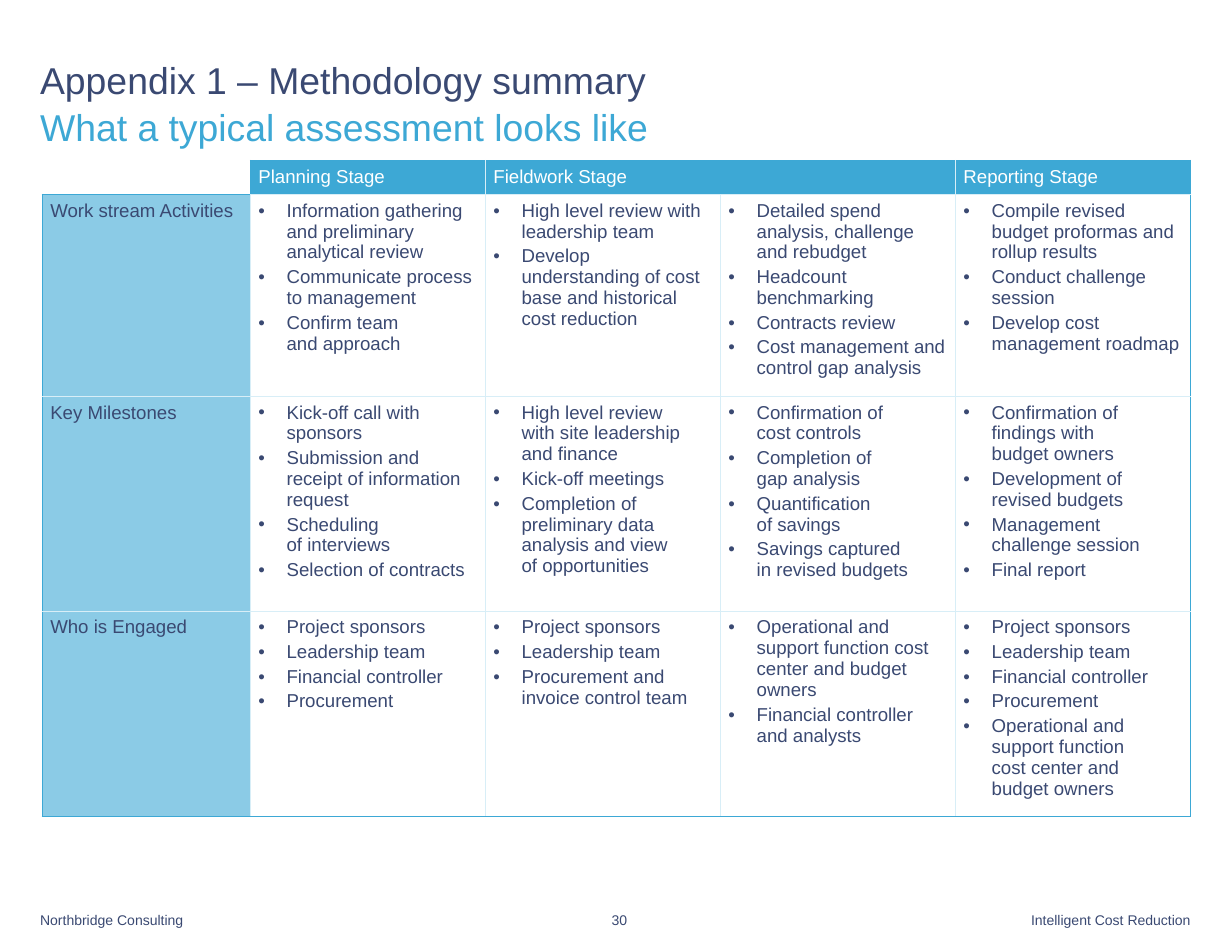
"""Build the methodology summary slide with its stage-by-activity table."""
import lxml.etree
import pptx
import pptx.dml.color
import pptx.enum.text
import pptx.oxml.ns
import pptx.util

Cm = pptx.util.Cm
Pt = pptx.util.Pt
qn = pptx.oxml.ns.qn
RGBColor = pptx.dml.color.RGBColor
PP_ALIGN = pptx.enum.text.PP_ALIGN
MSO_ANCHOR = pptx.enum.text.MSO_ANCHOR

NAVY = RGBColor(0x3A, 0x49, 0x72)
BLUE = RGBColor(0x3D, 0xA8, 0xD5)
LIGHT_BLUE = RGBColor(0x8B, 0xCB, 0xE6)
PALE_BLUE = RGBColor(0xD8, 0xEE, 0xF7)
WHITE = RGBColor(0xFF, 0xFF, 0xFF)

COLUMN_WIDTHS = [4.72] + [5.33] * 4
ROW_HEIGHTS = [0.75, 4.29, 4.87, 4.37]
STAGES = ["", "Planning Stage", "Fieldwork Stage", "", "Reporting Stage"]
TOPICS = [
    ("Work stream Activities", [
        ["Information gathering and preliminary analytical review",
         "Communicate process to management",
         "Confirm team \nand approach"],
        ["High level review with leadership team",
         "Develop understanding of cost base and historical cost reduction"],
        ["Detailed spend analysis, challenge and rebudget",
         "Headcount benchmarking",
         "Contracts review",
         "Cost management and control gap analysis"],
        ["Compile revised budget proformas and rollup results",
         "Conduct challenge session",
         "Develop cost management roadmap"],
    ]),
    ("Key Milestones", [
        ["Kick-off call with sponsors",
         "Submission and receipt of information request",
         "Scheduling \nof interviews",
         "Selection of contracts"],
        ["High level review \nwith site leadership and finance",
         "Kick-off meetings",
         "Completion of preliminary data analysis and view \nof opportunities"],
        ["Confirmation of \ncost controls",
         "Completion of \ngap analysis",
         "Quantification \nof savings",
         "Savings captured \nin revised budgets"],
        ["Confirmation of findings with \nbudget owners",
         "Development of revised budgets",
         "Management challenge session",
         "Final report"],
    ]),
    ("Who is Engaged", [
        ["Project sponsors", "Leadership team", "Financial controller", "Procurement"],
        ["Project sponsors", "Leadership team", "Procurement and invoice control team"],
        ["Operational and support function cost center and budget owners",
         "Financial controller and analysts"],
        ["Project sponsors", "Leadership team", "Financial controller", "Procurement",
         "Operational and support function \ncost center and \nbudget owners"],
    ]),
]


def write(paragraph, text, size=12, color=NAVY, align=PP_ALIGN.LEFT,
          space_after=0, line_spacing=None, bullet=False):
    """Append formatted text to a paragraph, breaking lines at newlines."""
    paragraph.alignment = align
    paragraph.space_after = Pt(space_after)
    paragraph.line_spacing = line_spacing
    if bullet:
        properties = paragraph._p.get_or_add_pPr()
        properties.set("marL", str(Cm(0.64)))
        properties.set("indent", str(-Cm(0.64)))
        lxml.etree.SubElement(properties, qn("a:buFont"), typeface="Arial")
        lxml.etree.SubElement(properties, qn("a:buChar"), char="•")
    for index, line in enumerate(text.split("\n")):
        if index:
            paragraph.add_line_break()
        if line:
            run = paragraph.add_run()
            run.text = line
            run.font.name = "Arial"
            run.font.size = Pt(size)
            run.font.color.rgb = color


def add_label(slide, left, top, width, height, anchor=MSO_ANCHOR.BOTTOM):
    """Add a text box without insets and return its first paragraph."""
    frame = slide.shapes.add_textbox(Cm(left), Cm(top), Cm(width), Cm(height)).text_frame
    frame.margin_left = frame.margin_right = frame.margin_top = frame.margin_bottom = 0
    frame.word_wrap = True
    frame.vertical_anchor = anchor
    return frame.paragraphs[0]


def set_border(cell, side, color, width):
    """Draw one side of a cell, or leave it open when there is no color."""
    line = lxml.etree.SubElement(cell._tc.get_or_add_tcPr(), qn(f"a:ln{side}"),
                                 w=str(Pt(width)))
    if color is None:
        lxml.etree.SubElement(line, qn("a:noFill"))
    else:
        fill = lxml.etree.SubElement(line, qn("a:solidFill"))
        lxml.etree.SubElement(fill, qn("a:srgbClr"), val=str(color))


def style_cell(cell, row, column):
    """Give a cell its insets, borders and fill according to its place."""
    cell.margin_left = cell.margin_right = Cm(0.18)
    cell.margin_top = cell.margin_bottom = Cm(0.13)
    corner = row == 0 and column == 0
    outer = {
        "L": column == 0 or (row, column) == (0, 1),
        "R": corner or column == len(COLUMN_WIDTHS) - 1,
        "T": row == 0 or (row, column) == (1, 0),
        "B": corner or row == len(ROW_HEIGHTS) - 1,
    }
    for side, is_outer in outer.items():
        color = BLUE if is_outer else PALE_BLUE
        if corner and side in "LT":
            color = None
        set_border(cell, side, color, 1 if is_outer else 0.5)
    if corner or (row and column):
        cell.fill.background()
    else:
        cell.fill.solid()
        cell.fill.fore_color.rgb = LIGHT_BLUE if row else BLUE


def fill_cell(cell, items, **text_format):
    """Write one paragraph for each item into a cell."""
    frame = cell.text_frame
    for index, item in enumerate(items):
        paragraph = frame.add_paragraph() if index else frame.paragraphs[0]
        write(paragraph, item, space_after=2.4, **text_format)
        if not item:
            lxml.etree.SubElement(paragraph._p, qn("a:endParaRPr"), sz="1200")


def add_methodology_table(slide):
    """Add the table of stages against topics."""
    table = slide.shapes.add_table(
        len(ROW_HEIGHTS), len(COLUMN_WIDTHS), Cm(0.96), Cm(3.64),
        Cm(sum(COLUMN_WIDTHS)), Cm(sum(ROW_HEIGHTS))).table
    table.first_row = table.horz_banding = False
    for column, width in zip(table.columns, COLUMN_WIDTHS):
        column.width = Cm(width)
    for row, height in zip(table.rows, ROW_HEIGHTS):
        row.height = Cm(height)
    for row in range(len(ROW_HEIGHTS)):
        for column in range(len(COLUMN_WIDTHS)):
            style_cell(table.cell(row, column), row, column)
    for column, stage in enumerate(STAGES):
        fill_cell(table.cell(0, column), [stage], color=WHITE)
    table.cell(0, 2).merge(table.cell(0, 3))
    for row, (topic, stage_items) in enumerate(TOPICS, start=1):
        fill_cell(table.cell(row, 0), [topic])
        for column, items in enumerate(stage_items, start=1):
            fill_cell(table.cell(row, column), items, bullet=True)


def add_title(slide):
    """Add the two-line, two-color heading."""
    heading = add_label(slide, 0.91, 1.24, 26.11, 2.1, MSO_ANCHOR.TOP)
    write(heading, "Appendix 1 – Methodology summary\n", size=24)
    write(heading, "What a typical assessment looks like", size=24, color=BLUE,
          line_spacing=1.05)


def add_footer(slide):
    """Add the firm, page number and report name along the bottom."""
    write(add_label(slide, 0.91, 20.55, 6.6, 0.5), "Northbridge Consulting", size=9)
    write(add_label(slide, 13.55, 20.55, 1, 0.5), "30", size=9, align=PP_ALIGN.CENTER)
    write(add_label(slide, 20.4, 20.55, 6.6, 0.5), "Intelligent Cost Reduction",
          size=9, align=PP_ALIGN.RIGHT)


def main():
    """Create and save the presentation."""
    presentation = pptx.Presentation()
    presentation.slide_width = Cm(27.94)
    presentation.slide_height = Cm(21.59)
    slide = presentation.slides.add_slide(presentation.slide_layouts[6])
    add_footer(slide)
    add_title(slide)
    add_methodology_table(slide)
    presentation.save("out.pptx")


if __name__ == "__main__":
    main()
